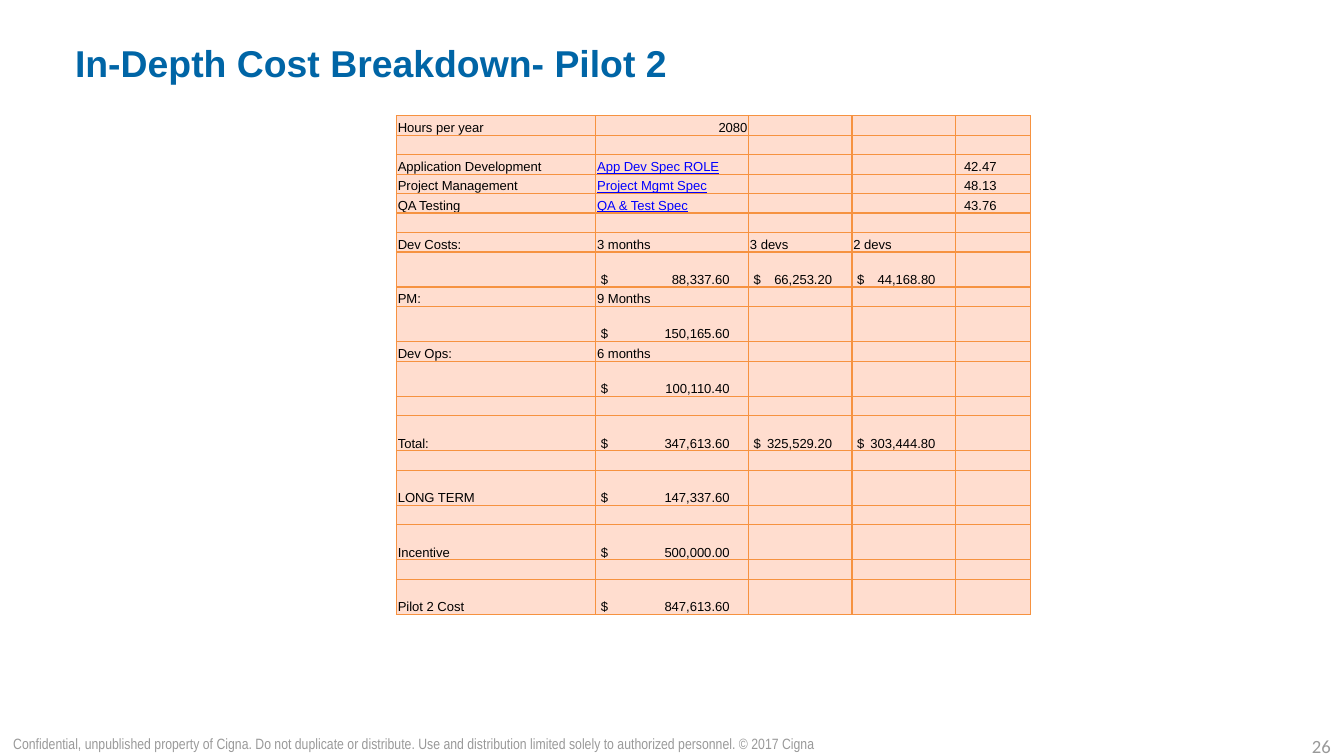
from dataclasses import dataclass

from lxml.etree import SubElement
from pptx import Presentation
from pptx.dml.color import RGBColor
from pptx.enum.text import MSO_ANCHOR as Anchor, PP_ALIGN as Align
from pptx.oxml.ns import qn
from pptx.util import Pt


@dataclass(frozen=True)
class Theme:
    title: str = "0065A6"
    body: str = "000000"
    link: str = "0000FF"
    footer: str = "999999"
    cell: str = "FFDDCF"
    border: str = "F69240"
    title_size: float = 20
    cell_size: float = 7
    footer_size: float = 8
    number_size: float = 10
    border_width: float = 0.75


THEME = Theme()
COLUMN_WIDTHS = [106.8, 81.9, 55.4, 55.4, 40.2]
AMOUNT_TABS = {1: 69, 2: 42, 3: 42}
ROW_HEIGHT, AMOUNT_ROW_HEIGHT = 10.45, 18.8
INSET, AMOUNT_INSET, RATE_INSET = 0.72, 2.67, 4.6
HOURS_ROW, ROLE_ROWS, ROLE_COLUMN, RATE_COLUMN = 0, (2, 3, 4), 1, 4

COSTS = [
    ["Hours per year", "2080"],
    [],
    ["Application Development", "App Dev Spec ROLE", "", "", "42.47"],
    ["Project Management", "Project Mgmt Spec", "", "", "48.13"],
    ["QA Testing", "QA & Test Spec", "", "", "43.76"],
    [],
    ["Dev Costs:", "3 months", "3 devs", "2 devs"],
    ["", "$\t88,337.60", "$\t66,253.20", "$\t44,168.80"],
    ["PM:", "9 Months"],
    ["", "$\t150,165.60"],
    ["Dev Ops:", "6 months"],
    ["", "$\t100,110.40"],
    [],
    ["Total:", "$\t347,613.60", "$\t325,529.20", "$\t303,444.80"],
    [],
    ["LONG TERM", "$\t147,337.60"],
    [],
    ["Incentive", "$\t500,000.00"],
    [],
    ["Pilot 2 Cost", "$\t847,613.60"],
]


def write_text(frame, text, *, size, color, font="Arial", bold=False,
               underline=False, align=Align.LEFT, tab=None):
    paragraph = frame.paragraphs[0]
    paragraph.alignment = align
    if tab:
        stops = SubElement(paragraph._p.get_or_add_pPr(), qn("a:tabLst"))
        SubElement(stops, qn("a:tab"), pos=str(Pt(tab)), algn="r")
    if not text:
        SubElement(paragraph._p, qn("a:endParaRPr"), sz=str(int(size * 100)))
        return
    run = paragraph.add_run()
    run.text = text
    run.font.name = font
    run.font.size = Pt(size)
    run.font.bold = bold
    run.font.underline = underline
    run.font.color.rgb = RGBColor.from_string(color)


def add_title(slide, text):
    title = slide.shapes.title
    title.left, title.top, title.width, title.height = Pt(33), Pt(16.6), Pt(648), Pt(38)
    frame = title.text_frame
    frame.vertical_anchor = Anchor.TOP
    frame.margin_top = Pt(5)
    write_text(frame, text, size=THEME.title_size, color=THEME.title, bold=True)


def add_label(slide, left, top, width, height, text, **style):
    label = slide.shapes.add_textbox(Pt(left), Pt(top), Pt(width), Pt(height))
    label.text_frame.word_wrap = True
    write_text(label.text_frame, text, color=THEME.footer, **style)


def add_borders(cell):
    properties = cell._tc.get_or_add_tcPr()
    for side in ("lnL", "lnR", "lnT", "lnB"):
        line = SubElement(properties, qn(f"a:{side}"), w=str(Pt(THEME.border_width)))
        fill = SubElement(line, qn("a:solidFill"))
        SubElement(fill, qn("a:srgbClr"), val=THEME.border)


def format_cell(cell, text, row, column):
    is_amount = text.startswith("$")
    is_role = row in ROLE_ROWS and column == ROLE_COLUMN
    is_hours = row == HOURS_ROW and column == 1
    left_inset = AMOUNT_INSET if is_amount else RATE_INSET if column == RATE_COLUMN else INSET
    add_borders(cell)
    cell.fill.solid()
    cell.fill.fore_color.rgb = RGBColor.from_string(THEME.cell)
    cell.vertical_anchor = Anchor.BOTTOM
    cell.margin_left = Pt(left_inset)
    cell.margin_right = cell.margin_top = Pt(INSET)
    cell.margin_bottom = 0
    write_text(
        cell.text_frame, text, size=THEME.cell_size,
        color=THEME.link if is_role else THEME.body,
        underline=is_role,
        align=Align.RIGHT if is_hours else Align.LEFT,
        tab=AMOUNT_TABS[column] if is_amount else None,
    )


def add_cost_table(slide, left, top):
    heights = [
        AMOUNT_ROW_HEIGHT if any(text.startswith("$") for text in texts) else ROW_HEIGHT
        for texts in COSTS
    ]
    table = slide.shapes.add_table(
        len(COSTS), len(COLUMN_WIDTHS), Pt(left), Pt(top),
        Pt(sum(COLUMN_WIDTHS)), Pt(sum(heights)),
    ).table
    table.first_row = table.horz_banding = False
    for column, width in zip(table.columns, COLUMN_WIDTHS):
        column.width = Pt(width)
    for row, (texts, height) in enumerate(zip(COSTS, heights)):
        table.rows[row].height = Pt(height)
        for column in range(len(COLUMN_WIDTHS)):
            text = texts[column] if column < len(texts) else ""
            format_cell(table.cell(row, column), text, row, column)


def main():
    deck = Presentation()
    deck.slide_width, deck.slide_height = Pt(720), Pt(405)
    slide = deck.slides.add_slide(deck.slide_layouts[5])
    add_title(slide, "In-Depth Cost Breakdown- Pilot 2")
    add_label(slide, 552, 390.3, 168, 12.2, "26", size=THEME.number_size,
              font="Calibri", align=Align.RIGHT)
    add_label(slide, 0, 389.8, 552, 13.7,
              "Confidential, unpublished property of Cigna. Do not duplicate or distribute. "
              "Use and distribution limited solely to authorized personnel. © 2017 Cigna",
              size=THEME.footer_size, font="Arial Narrow")
    add_cost_table(slide, 212.4, 62)
    deck.save("out.pptx")


if __name__ == "__main__":
    main()
